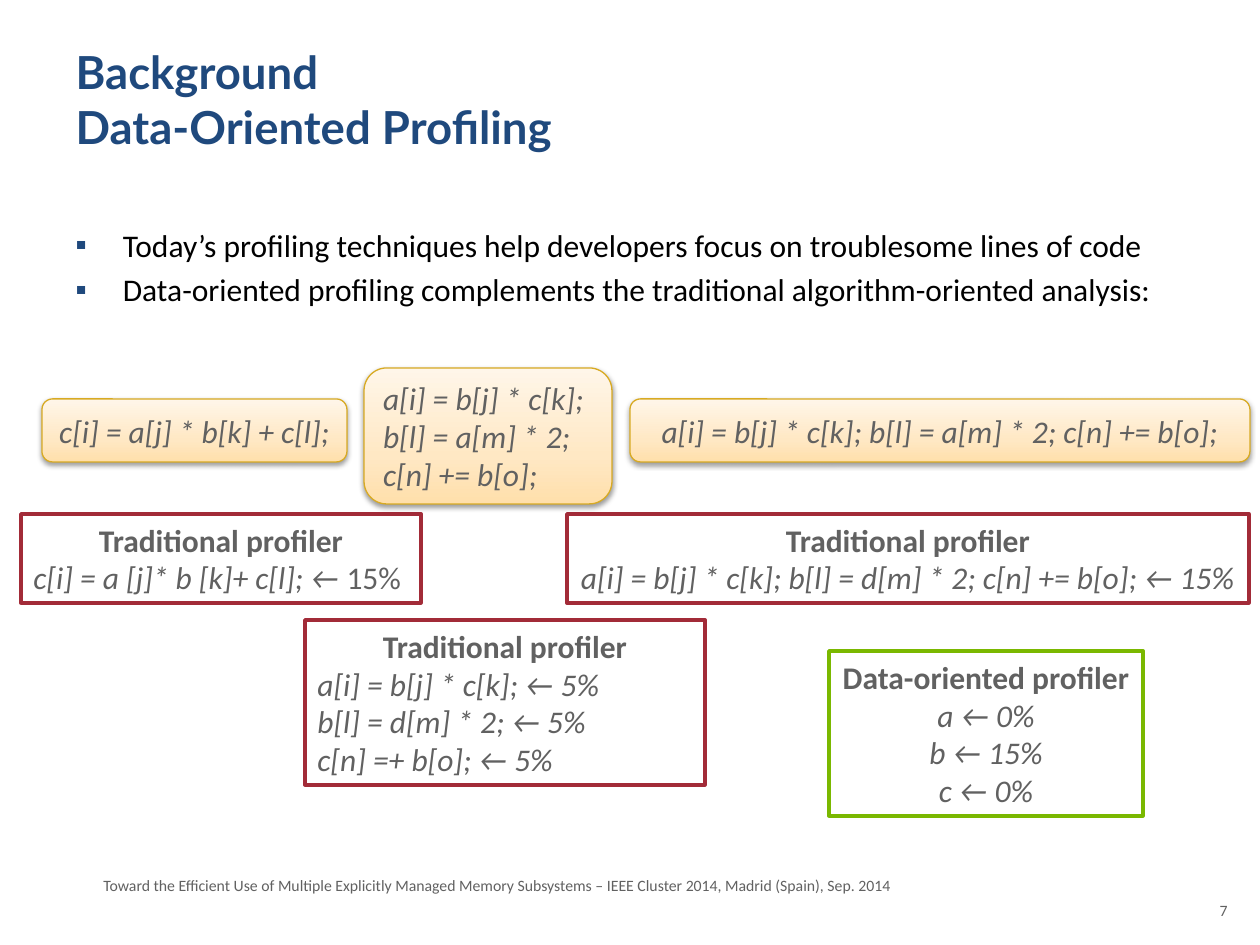
from dataclasses import dataclass

from lxml import etree
from pptx import Presentation
from pptx.dml.color import RGBColor
from pptx.enum.shapes import MSO_SHAPE
from pptx.enum.text import MSO_ANCHOR, MSO_AUTO_SIZE, PP_ALIGN
from pptx.oxml.ns import qn
from pptx.util import Emu, Pt

RECTANGLE, ROUNDED = MSO_SHAPE.RECTANGLE, MSO_SHAPE.ROUNDED_RECTANGLE
TOP, MIDDLE = MSO_ANCHOR.TOP, MSO_ANCHOR.MIDDLE
FIXED, GROW = MSO_AUTO_SIZE.NONE, MSO_AUTO_SIZE.SHAPE_TO_FIT_TEXT
LEFT, CENTER, RIGHT = PP_ALIGN.LEFT, PP_ALIGN.CENTER, PP_ALIGN.RIGHT

PX_PER_INCH = 126
COLORS = {
    "title": "1F497D", "body": "000000", "text": "616161", "white": "FFFFFF",
    "traditional": "A22B38", "data": "7AB800", "code_line": "D8AA23", "shadow": "000000",
}
CODE_GRADIENT = ((0, "FFDFAB"), (35, "FFE8C4"), (100, "FFF6E9"))  # bottom to top


@dataclass
class Box:
    left: int
    top: int
    width: int
    height: int


@dataclass
class CodeSnippet:
    box: Box
    lines: tuple[str, ...]
    align: PP_ALIGN = CENTER


@dataclass
class ProfilerResult:
    box: Box
    lines: tuple[str, ...]
    name: str = "Traditional profiler"
    color: str = "traditional"
    align: PP_ALIGN = LEFT
    upright_end: str = ""
    wrap: bool = True


PROFILER_RESULTS = (
    ProfilerResult(Box(21, 514, 400, 89), ("c[i] = a [j]* b [k]+ c[l]; ← ",), upright_end="15%"),
    ProfilerResult(Box(305, 620, 400, 165),
                   ("a[i] = b[j] * c[k]; ← 5%", "b[l] = d[m] * 2; ← 5%", "c[n] =+ b[o]; ← 5%")),
    ProfilerResult(Box(829, 651, 314, 165), ("a ← 0%", "b ← 15%", "c ← 0%"),
                   name="Data-oriented profiler", color="data", align=CENTER, wrap=False),
    ProfilerResult(Box(567, 514, 682, 89),
                   ("a[i] = b[j] * c[k]; b[l] = d[m] * 2; c[n] += b[o]; ← 15%",), align=CENTER),
)
CODE_SNIPPETS = (
    CodeSnippet(Box(42, 399, 305, 63), ("c[i] = a[j] * b[k] + c[l];",)),
    CodeSnippet(Box(364, 368, 248, 136),
                ("a[i] = b[j] * c[k];", "b[l] = a[m] * 2;", "c[n] += b[o];"), align=LEFT),
    CodeSnippet(Box(630, 399, 620, 63), ("a[i] = b[j] * c[k]; b[l] = a[m] * 2; c[n] += b[o];",)),
)
BULLETS = (
    "Today’s profiling techniques help developers focus on troublesome lines of code",
    "Data-oriented profiling complements the traditional algorithm-oriented analysis:",
)


def px(length: int) -> Emu:
    return Emu(round(length * 914400 / PX_PER_INCH))


def place(shape, box: Box) -> None:
    shape.left, shape.top = px(box.left), px(box.top)
    shape.width, shape.height = px(box.width), px(box.height)


def set_frame(frame, anchor=MIDDLE, auto_size=FIXED, wrap=True) -> None:
    frame.vertical_anchor = anchor
    frame.auto_size = auto_size
    frame.word_wrap = wrap


def next_paragraph(frame):
    first = frame.paragraphs[0]
    return frame.add_paragraph() if first.runs else first


def add_text(paragraph, text: str, *, size=18, font="Calibri", color="text",
             bold=False, italic=False, align=LEFT) -> None:
    paragraph.alignment = align
    run = paragraph.add_run()
    run.text = text
    run.font.size, run.font.name = Pt(size), font
    run.font.bold, run.font.italic = bold, italic
    run.font.color.rgb = RGBColor.from_string(COLORS[color])


def add_color(parent, value: str):
    return etree.SubElement(parent, qn("a:srgbClr"), val=value)


def add_bullet(paragraph) -> None:
    properties = paragraph._p.get_or_add_pPr()
    properties.set("marL", "342900")
    properties.set("indent", "-342900")
    add_color(etree.SubElement(properties, qn("a:buClr")), COLORS["title"])
    etree.SubElement(properties, qn("a:buFont"), typeface="Calibri")
    etree.SubElement(properties, qn("a:buChar"), char="▪")


def add_outlined(slide, preset, box: Box, color: str, width: float):
    shape = slide.shapes.add_shape(preset, 0, 0, 0, 0)
    place(shape, box)
    shape.shadow.inherit = False
    shape.line.color.rgb = RGBColor.from_string(COLORS[color])
    shape.line.width = Pt(width)
    return shape


def add_profiler_result(slide, result: ProfilerResult) -> None:
    shape = add_outlined(slide, RECTANGLE, result.box, result.color, 2)
    shape.fill.solid()
    shape.fill.fore_color.rgb = RGBColor.from_string(COLORS["white"])
    frame = shape.text_frame
    set_frame(frame, auto_size=GROW, wrap=result.wrap)
    add_text(next_paragraph(frame), result.name, bold=True, align=CENTER)
    for line in result.lines:
        paragraph = next_paragraph(frame)
        add_text(paragraph, line, italic=True, align=result.align)
    if result.upright_end:
        add_text(paragraph, result.upright_end, align=result.align)


def add_code_snippet(slide, snippet: CodeSnippet) -> None:
    shape = add_outlined(slide, ROUNDED, snippet.box, "code_line", 0.75)
    shape.fill.gradient()
    shape.fill.gradient_angle = 90
    properties = shape._element.spPr
    stops = properties.find(qn("a:gradFill")).find(qn("a:gsLst"))
    for stop in list(stops):
        stops.remove(stop)
    for position, value in CODE_GRADIENT:
        add_color(etree.SubElement(stops, qn("a:gs"), pos=str(position * 1000)), value)
    shadow = etree.SubElement(properties.find(qn("a:effectLst")), qn("a:outerShdw"),
                              blurRad=str(Pt(3.1)), dist=str(Pt(1.6)),
                              dir="5400000", rotWithShape="0")
    etree.SubElement(add_color(shadow, COLORS["shadow"]), qn("a:alpha"), val="38000")
    set_frame(shape.text_frame)
    for line in snippet.lines:
        add_text(next_paragraph(shape.text_frame), line, italic=True, align=snippet.align)


def add_small_print(slide, box: Box, text: str, anchor, align) -> None:
    small_print = slide.shapes.add_textbox(0, 0, 0, 0)
    place(small_print, box)
    set_frame(small_print.text_frame, anchor)
    add_text(next_paragraph(small_print.text_frame), text, size=9, align=align)


def main() -> None:
    presentation = Presentation()
    presentation.slide_width, presentation.slide_height = px(1260), px(945)
    slide = presentation.slides.add_slide(presentation.slide_layouts[1])
    title, body = slide.placeholders

    # Title
    place(title, Box(63, 38, 1134, 157))
    set_frame(title.text_frame, TOP)
    heading = title.text_frame.paragraphs[0]
    title_format = {"size": 26, "font": "Lato", "color": "title", "bold": True}
    add_text(heading, "Background", **title_format)
    heading.add_line_break()
    add_text(heading, "Data-Oriented Profiling", **title_format)

    # Bullet list
    place(body, Box(63, 220, 1134, 624))
    set_frame(body.text_frame, TOP)
    for index, bullet in enumerate(BULLETS):
        paragraph = next_paragraph(body.text_frame)
        paragraph.space_before = Pt(3.6 if index else 0)
        add_bullet(paragraph)
        add_text(paragraph, bullet, color="body")

    # Footer and page number
    add_small_print(slide, Box(91, 869, 819, 32),
                    "Toward the Efficient Use of Multiple Explicitly Managed Memory Subsystems"
                    " – IEEE Cluster 2014, Madrid (Spain), Sep. 2014", MIDDLE, LEFT)
    add_small_print(slide, Box(1187, 895, 53, 50), "7", TOP, RIGHT)

    # Profiler output and the code it belongs to
    for result in PROFILER_RESULTS:
        add_profiler_result(slide, result)
    for snippet in CODE_SNIPPETS:
        add_code_snippet(slide, snippet)

    presentation.save("out.pptx")


if __name__ == "__main__":
    main()
